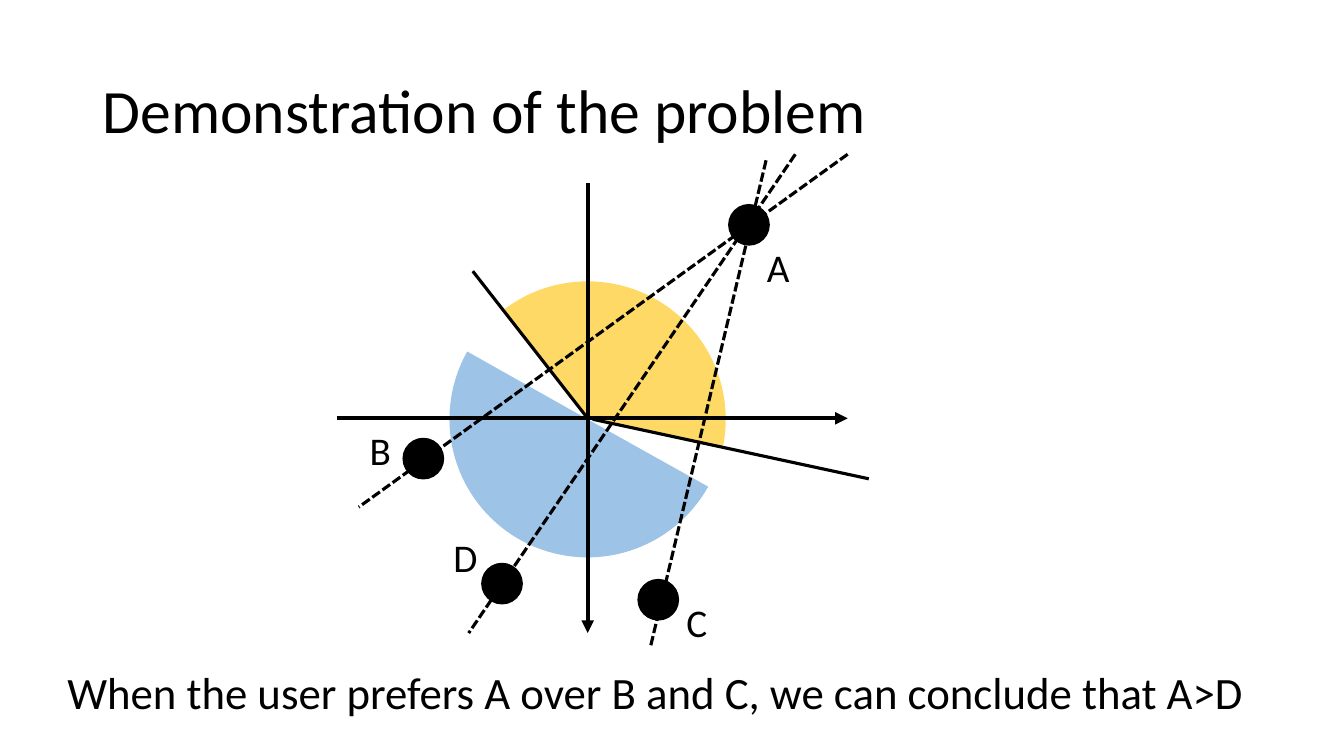
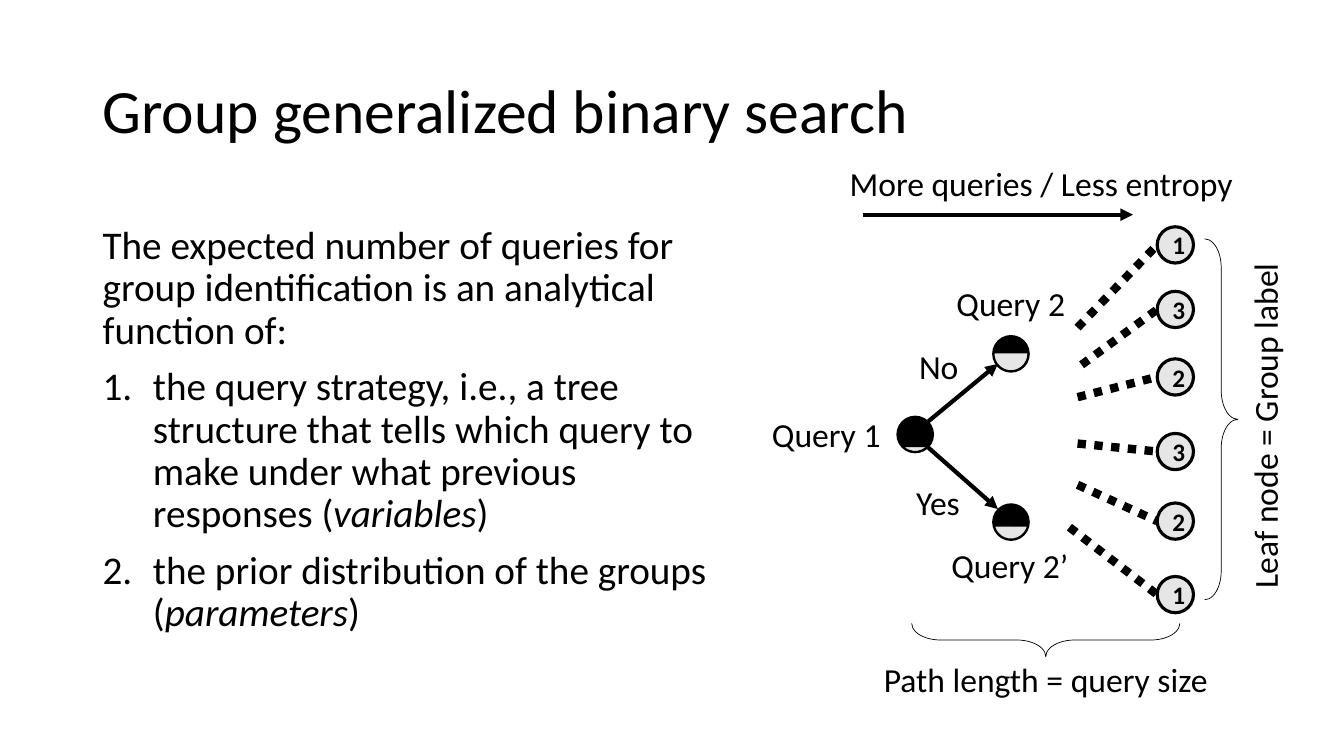
from dataclasses import dataclass

from lxml.etree import SubElement
from pptx import Presentation
from pptx.dml.color import RGBColor
from pptx.enum.dml import MSO_LINE
from pptx.enum.shapes import MSO_CONNECTOR, MSO_SHAPE
from pptx.enum.text import MSO_ANCHOR, MSO_AUTO_SIZE, PP_ALIGN
from pptx.oxml.ns import qn
from pptx.util import Pt


@dataclass(frozen=True)
class Theme:
    font: str = "Calibri"
    black: RGBColor = RGBColor(0, 0, 0)
    grey: RGBColor = RGBColor(0xE7, 0xE6, 0xE6)
    yellow: RGBColor = RGBColor(0xFF, 0xD9, 0x66)
    blue: RGBColor = RGBColor(0x9D, 0xC3, 0xE6)
    title: float = 44
    statement: float = 32
    body: float = 28
    label: float = 24
    digit: float = 18
    hairline: float = 0.5
    outline: float = 1
    medium: float = 2.25
    thick: float = 3
    dotted: float = 6


class Deck:
    def __init__(self, theme):
        self.theme = theme
        self.presentation = Presentation()
        self.presentation.slide_width = Pt(960)
        self.presentation.slide_height = Pt(540)
        self.slide = None

    def new_slide(self, title):
        layout = self.presentation.slide_layouts.get_by_name("Title Only")
        self.slide = self.presentation.slides.add_slide(layout)
        shape = self.slide.shapes.title
        shape.left, shape.top, shape.width, shape.height = Pt(66.2), Pt(28.8), Pt(828), Pt(104.4)
        frame = shape.text_frame
        frame.auto_size = MSO_AUTO_SIZE.NONE
        frame.vertical_anchor = MSO_ANCHOR.MIDDLE
        paragraph = frame.paragraphs[0]
        paragraph.alignment = PP_ALIGN.LEFT
        paragraph.line_spacing = 0.9
        self.run(paragraph, title, self.theme.title)

    def run(self, paragraph, text, size, bold=False, italic=False):
        run = paragraph.add_run()
        run.text = text
        font = run.font
        font.name, font.size, font.bold, font.italic = self.theme.font, Pt(size), bold, italic
        font.color.rgb = self.theme.black

    def label(self, text, left, top, width, height, size, rotation=0):
        box = self.slide.shapes.add_textbox(Pt(left), Pt(top), Pt(width), Pt(height))
        box.rotation = rotation
        box.text_frame.word_wrap = False
        box.text_frame.auto_size = MSO_AUTO_SIZE.SHAPE_TO_FIT_TEXT
        self.run(box.text_frame.paragraphs[0], text, size)

    def body(self, left, top, width, height, intro, items):
        box = self.slide.shapes.add_textbox(Pt(left), Pt(top), Pt(width), Pt(height))
        frame = box.text_frame
        frame.word_wrap = True
        self.body_paragraph(frame.paragraphs[0], intro)
        for text, term in items:
            paragraph = frame.add_paragraph()
            self.body_paragraph(paragraph, text + " (")
            self.run(paragraph, term, self.theme.body, italic=True)
            self.run(paragraph, ")", self.theme.body)
            properties = paragraph._p.get_or_add_pPr()
            properties.set("marL", str(Pt(36)))
            properties.set("indent", str(-Pt(36)))
            SubElement(properties, qn("a:buFont"), typeface="+mj-lt")
            SubElement(properties, qn("a:buAutoNum"), type="arabicPeriod")

    def body_paragraph(self, paragraph, text):
        paragraph.line_spacing = 0.9
        paragraph.space_before = Pt(10)
        self.run(paragraph, text, self.theme.body)

    def shape(self, kind, left, top, width, height, fill=None, line=None, rotation=0, adjustments=()):
        shape = self.slide.shapes.add_shape(kind, Pt(left), Pt(top), Pt(width), Pt(height))
        shape.shadow.inherit = False
        shape.rotation = rotation
        for index, value in enumerate(adjustments):
            shape.adjustments[index] = value
        if fill is None:
            shape.fill.background()
        else:
            shape.fill.solid()
            shape.fill.fore_color.rgb = fill
        if line is None:
            shape.line.fill.background()
        else:
            shape.line.color.rgb = self.theme.black
            shape.line.width = Pt(line)
        return shape

    def arc(self, kind, left, top, size, fill, start, end, line=None, rotation=0):
        angles = [degrees * 0.6 for degrees in (start, end)]
        self.shape(kind, left, top, size, size, fill, line, rotation, angles)

    def dot(self, left, top, size):
        self.shape(MSO_SHAPE.OVAL, left, top, size, size, self.theme.black, self.theme.outline)

    def leaf(self, left, top, size, digit):
        shape = self.shape(MSO_SHAPE.OVAL, left, top, size, size, self.theme.grey, self.theme.medium)
        shape.text_frame.vertical_anchor = MSO_ANCHOR.MIDDLE
        paragraph = shape.text_frame.paragraphs[0]
        paragraph.alignment = PP_ALIGN.CENTER
        self.run(paragraph, digit, self.theme.digit, bold=True)

    def brace(self, left, top, width, height, rotation):
        self.shape(MSO_SHAPE.LEFT_BRACE, left, top, width, height, None, self.theme.hairline,
                   rotation, (0.867, 0.5))

    def line(self, start, end, width, dash=None, arrow=False):
        points = [Pt(value) for value in (*start, *end)]
        connector = self.slide.shapes.add_connector(MSO_CONNECTOR.STRAIGHT, *points)
        connector.line.color.rgb = self.theme.black
        connector.line.width = Pt(width)
        if dash is not None:
            connector.line.dash_style = dash
        properties = connector._element.spPr
        if arrow:
            SubElement(properties.find(qn("a:ln")), qn("a:tailEnd"), type="triangle")
        SubElement(properties, qn("a:effectLst"))


def build_demonstration(deck):
    theme = deck.theme
    deck.new_slide("Demonstration of the problem")
    deck.arc(MSO_SHAPE.PIE, 321.1, 200.9, 197.3, theme.yellow, 51.82, 191.4, rotation=180)
    deck.arc(MSO_SHAPE.PIE, 321.1, 200.9, 197.3, theme.blue, 29.2, 209.38)
    deck.label("When the user prefers A over B and C, we can conclude that A>D",
               41, 471.6, 863.3, 46.1, theme.statement)
    for start, end in [((240.5, 298.8), (605.5, 298.8)), ((419.8, 131), (419.8, 452.2))]:
        deck.line(start, end, theme.thick, arrow=True)
    points = [
        ("A", 520.6, 146.2, 540.7, 169.9, 31),
        ("B", 288, 313.2, 257, 301, 30.2),
        ("C", 455.8, 414, 483.1, 424.1, 29.5),
        ("D", 344.2, 402.5, 316.8, 377.3, 31.7),
    ]
    for name, left, top, label_left, label_top, label_width in points:
        deck.dot(left, top, 28.8)
        deck.label(name, label_left, label_top, label_width, 41, theme.body)
    dashed_lines = [
        ((568.1, 110.2), (334.8, 452.2)),
        ((547.2, 114.5), (464.4, 463)),
        ((605.5, 110.2), (256.3, 362.2)),
    ]
    for start, end in dashed_lines:
        deck.line(start, end, theme.medium, MSO_LINE.SQUARE_DOT)
    for start, end in [((423.4, 299.5), (620.6, 342)), ((337.7, 193.7), (419.8, 298.8))]:
        deck.line(start, end, theme.medium)


def build_search(deck):
    theme = deck.theme
    deck.new_slide("Group generalized binary search")
    deck.body(66.2, 157.7, 459.4, 322.6,
              "The expected number of queries for group identification is an analytical function of:",
              [("the query strategy, i.e., a tree structure that tells which query to make "
                "under what previous responses", "variables"),
               ("the prior distribution of the groups", "parameters")])

    node_size = 25.9
    queries = [(640.8, 297.4, 111.66, 203.1), (709.2, 360, 80.11, 234.41), (709.2, 239.8, 63.61, 251.35)]
    deck.dot(*queries[0][:2], node_size)
    for end in [(712.8, 363.6), (712.8, 259.9)]:
        start_top = 319.7 if end[1] > 300 else 301
        deck.line((663.1, start_top), end, theme.thick, arrow=True)
    for left, top, *angles in queries[1:]:
        deck.dot(left, top, node_size)
    for left, top, *angles in queries:
        deck.arc(MSO_SHAPE.CHORD, left + 0.7, top + 0.7, node_size - 1.4, theme.grey, *angles,
                 line=theme.outline, rotation=292.5)

    labels = [
        ("More queries / Less entropy", 599.8, 113, 290.9),
        ("Query 1", 544.3, 292.3, 92.9),
        ("Yes", 647.3, 340.6, 46.1),
        ("No", 649.4, 243.4, 43.2),
        ("Query 2’", 672.5, 385.9, 97.9),
        ("Query 2", 676.1, 198.7, 92.9),
        ("Path length = query size", 624.2, 467.3, 248.4),
    ]
    for text, left, top, width in labels:
        deck.label(text, left, top, width, 36, theme.label)

    leaf_left = 826.6
    leaves = [
        ("1", 162, (769.7, 234)),
        ("3", 208.1, (772.6, 260.6)),
        ("2", 256.3, (769.7, 283.7)),
        ("3", 309.6, (769.7, 316.8)),
        ("2", 359.3, (769.7, 346.3)),
        ("1", 411.8, (763.9, 376.6)),
    ]
    for digit, top, branch in leaves:
        deck.leaf(leaf_left, top, node_size, digit)
        deck.line(branch, (leaf_left, top + node_size / 2), theme.dotted, MSO_LINE.ROUND_DOT)
    deck.line((616.3, 153.4), (809.3, 153.4), theme.thick, arrow=True)

    deck.brace(735.1, 361.4, 23.8, 191.5, 270)
    deck.brace(860.4, 170.6, 23.8, 257.8, 180)
    deck.label("Leaf node = Group label", 774, 280.1, 258.5, 36, theme.label, rotation=270)


deck = Deck(Theme())
build_demonstration(deck)
build_search(deck)
deck.presentation.save("out.pptx")
